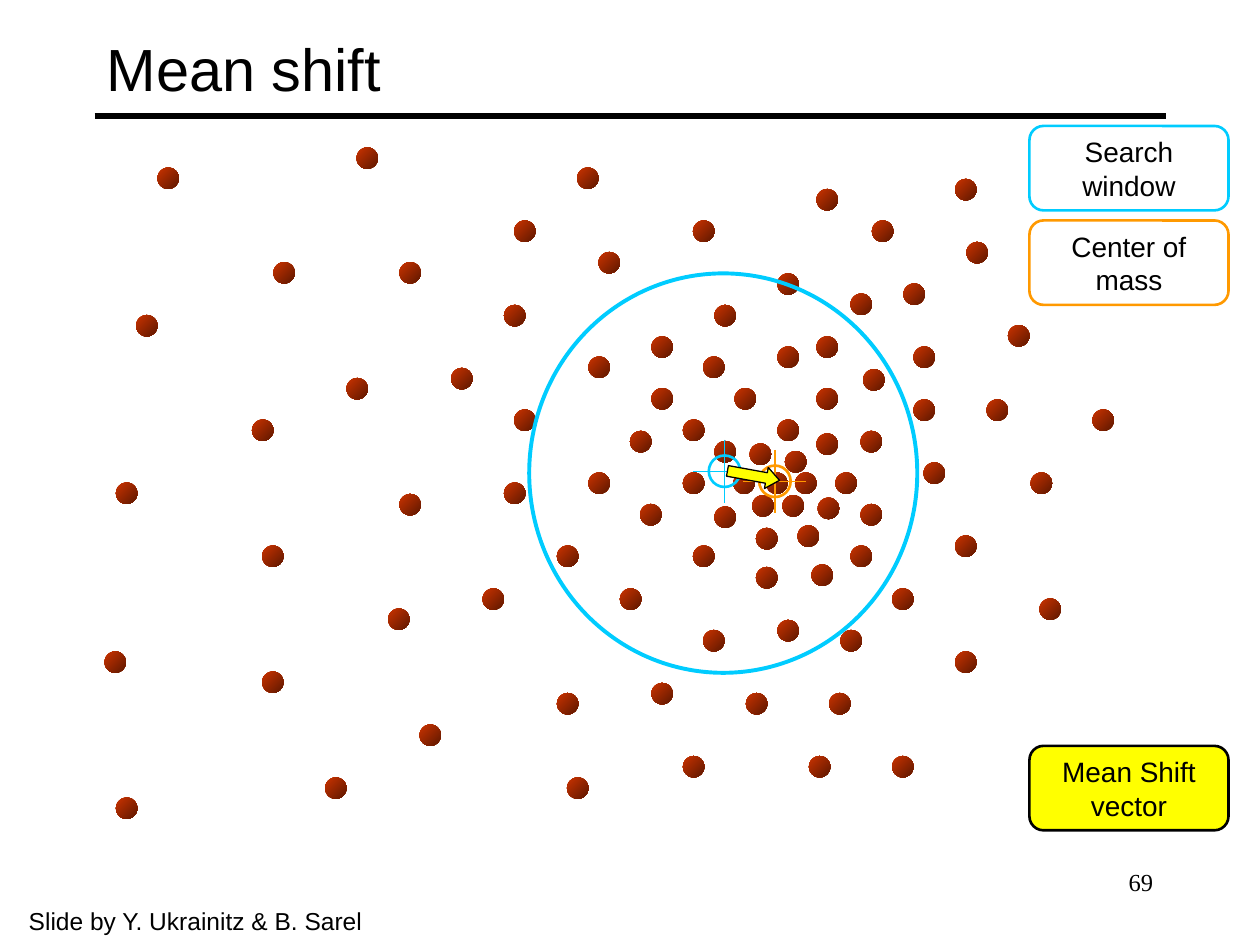
from lxml.etree import SubElement
from pptx import Presentation
from pptx.dml.color import RGBColor as Rgb
from pptx.enum.shapes import MSO_CONNECTOR as Conn, MSO_SHAPE as Kind
from pptx.enum.text import MSO_ANCHOR as Anchor, MSO_AUTO_SIZE as Auto, PP_ALIGN as Align
from pptx.oxml.ns import qn
from pptx.util import Cm, Pt

COLORS = {
    "ink": "000000", "cyan": "00CCFF", "amber": "FF9900",
    "yellow": "FFFF00", "rust": "CC3300", "brown": "5E1800",
}
DOT = 0.17

# Left and top of every sample dot, in inches
DOTS = [
    (6.08, 3.75), (6.31, 3.75), (6.23, 3.58), (5.95, 3.52), (6.21, 3.93), (5.97, 3.93),
    (6.49, 3.95), (5.82, 3.75), (6.63, 3.75), (6.48, 3.44), (6.17, 3.33), (6.33, 4.17),
    (6, 4.19), (5.67, 4.02), (5.42, 3.75), (5.67, 3.5), (6.83, 4), (6.75, 4.33),
    (6.44, 4.48), (6, 4.5), (5.5, 4.33), (5.08, 4), (5, 3.42), (5.42, 3.33),
    (5.83, 3.08), (6.48, 3.08), (6.17, 2.75), (5.17, 3.08), (5.58, 2.83), (6.17, 2.17),
    (5.67, 2.42), (6.48, 2.67), (6.48, 1.5), (6.75, 2.33), (6.85, 2.93), (6.83, 3.42),
    (7.25, 3.17), (7.25, 2.75), (7.17, 2.25), (6.92, 1.75), (7.58, 1.42), (7.67, 1.92),
    (8, 2.58), (7.33, 3.67), (7.83, 3.17), (8.67, 3.25), (7.58, 4.25), (8.18, 3.75),
    (7.08, 4.67), (8.25, 4.75), (7.58, 5.17), (6.67, 5), (6.17, 4.92), (6.58, 5.5),
    (7.08, 6), (6.42, 6), (5.92, 5.5), (5.58, 5), (4.92, 4.67), (5.17, 5.42),
    (5.42, 6), (4.5, 6.17), (4.42, 5.5), (3.83, 4.67), (4.42, 4.33), (4.67, 3.75),
    (4.08, 3.25), (4.67, 2.83), (5.17, 2.67), (4.75, 2), (5.5, 1.75), (4.58, 1.33),
    (4.08, 1.75), (4, 2.42), (3.58, 2.92), (4, 3.83), (3.17, 3.92), (3.08, 4.83),
    (3.33, 5.75), (2.58, 6.17), (2.08, 5.33), (2.08, 4.33), (2.75, 3), (3.17, 2.08),
    (2.17, 2.08), (2, 3.33), (0.83, 5.17), (0.92, 6.33), (0.92, 3.83), (1.08, 2.5),
    (1.25, 1.33), (2.83, 1.17),
]


def inch(num):
    return Cm(num * 2.54)


def rgb(name):
    return Rgb.from_string(COLORS[name])


class Deck:
    def __init__(self, face="Arial"):
        self.face = face
        self.prs = Presentation()
        self.prs.slide_width, self.prs.slide_height = inch(10), inch(7.5)
        self.slide = self.prs.slides.add_slide(self.prs.slide_layouts[6])
        self.shapes = self.slide.shapes

    def shape(self, kind, box, fill=None, line=None, width=1.5, home=None):
        item = (home or self.shapes).add_shape(kind, *map(inch, box))
        item.shadow.inherit = False
        if fill:
            item.fill.solid()
            item.fill.fore_color.rgb = rgb(fill)
        else:
            item.fill.background()
        if line:
            item.line.color.rgb = rgb(line)
            item.line.width = Pt(width)
        else:
            item.line.fill.background()
        return item

    def dot(self, left, top):
        fill = self.shape(Kind.OVAL, (left, top, DOT, DOT)).fill
        fill.gradient()
        fill.gradient_angle = 315
        for stop, name in zip(fill.gradient_stops, ("rust", "brown")):
            stop.color.rgb = rgb(name)

    def line(self, ends, color, width, home=None):
        item = (home or self.shapes).add_connector(Conn.STRAIGHT, *map(inch, ends))
        item.line.color.rgb = rgb(color)
        item.line.width = Pt(width)
        SubElement(item._element.spPr, qn("a:effectLst"))

    def target(self, x, y, color, window=None):
        """Ring with a crosshair, and the search window if there is one."""
        home = self.shapes.add_group_shape().shapes
        if window:
            self.shape(Kind.OVAL, window, line=color, width=2.25, home=home)
        self.shape(Kind.OVAL, (x - 0.125, y - 0.125, 0.25, 0.25), line=color, home=home)
        self.line((x, y - 0.25, x, y + 0.25), color, 0.75, home)
        self.line((x - 0.25, y, x + 0.25, y), color, 0.75, home)

    def words(self, item, rows, size, align=Align.LEFT, face=None):
        frame = item.text_frame
        frame.text = "\n".join(rows)
        for para in frame.paragraphs:
            para.alignment = align
            para.font.size = Pt(size)
            para.font.name = face or self.face
            para.font.color.rgb = rgb("ink")
        return frame

    def label(self, top, rows, line, fill=None):
        item = self.shape(Kind.ROUNDED_RECTANGLE, (8.17, top, 1.58, 0.67), fill, line)
        frame = self.words(item, rows, 16, Align.CENTER)
        frame.vertical_anchor = Anchor.MIDDLE
        frame.word_wrap = False

    def text(self, box, row, size, align=Align.LEFT, face=None, wrap=True):
        item = self.shapes.add_textbox(*map(inch, box))
        frame = self.words(item, [row], size, align, face)
        frame.word_wrap = wrap
        return frame


def main():
    deck = Deck()

    # Title and rule
    deck.line((0.75, 0.92, 9.25, 0.92), "ink", 3)
    title = deck.text((0.75, 0.08, 8.5, 0.92), "Mean shift", 34)
    title.vertical_anchor = Anchor.MIDDLE

    # Sample dots
    for left, top in DOTS:
        deck.dot(left, top)

    # Search window, center of mass and the vector between them
    deck.target(5.75, 3.74, "cyan", window=(4.2, 2.17, 3.08, 3.17))
    deck.target(6.15, 3.82, "amber")
    arrow = deck.shape(Kind.RIGHT_ARROW, (5.77, 3.69, 0.42, 0.17), "yellow", "ink", 0.75)
    arrow.adjustments[1] = 0.625
    arrow.rotation = 10.3

    # Legend
    deck.label(1, ["Search", "window"], "cyan")
    deck.label(1.75, ["Center of", "mass"], "amber")
    deck.label(5.92, ["Mean Shift", "vector"], "ink", "yellow")

    # Credit and page number
    credit = deck.text((0.13, 7.14, 2.87, 0.33), "Slide by Y. Ukrainitz & B. Sarel", 14, wrap=False)
    credit.auto_size = Auto.SHAPE_TO_FIT_TEXT
    deck.text((7.17, 6.83, 2.08, 0.5), "69", 14, Align.RIGHT, "Times New Roman")

    deck.prs.save("out.pptx")


if __name__ == "__main__":
    main()
